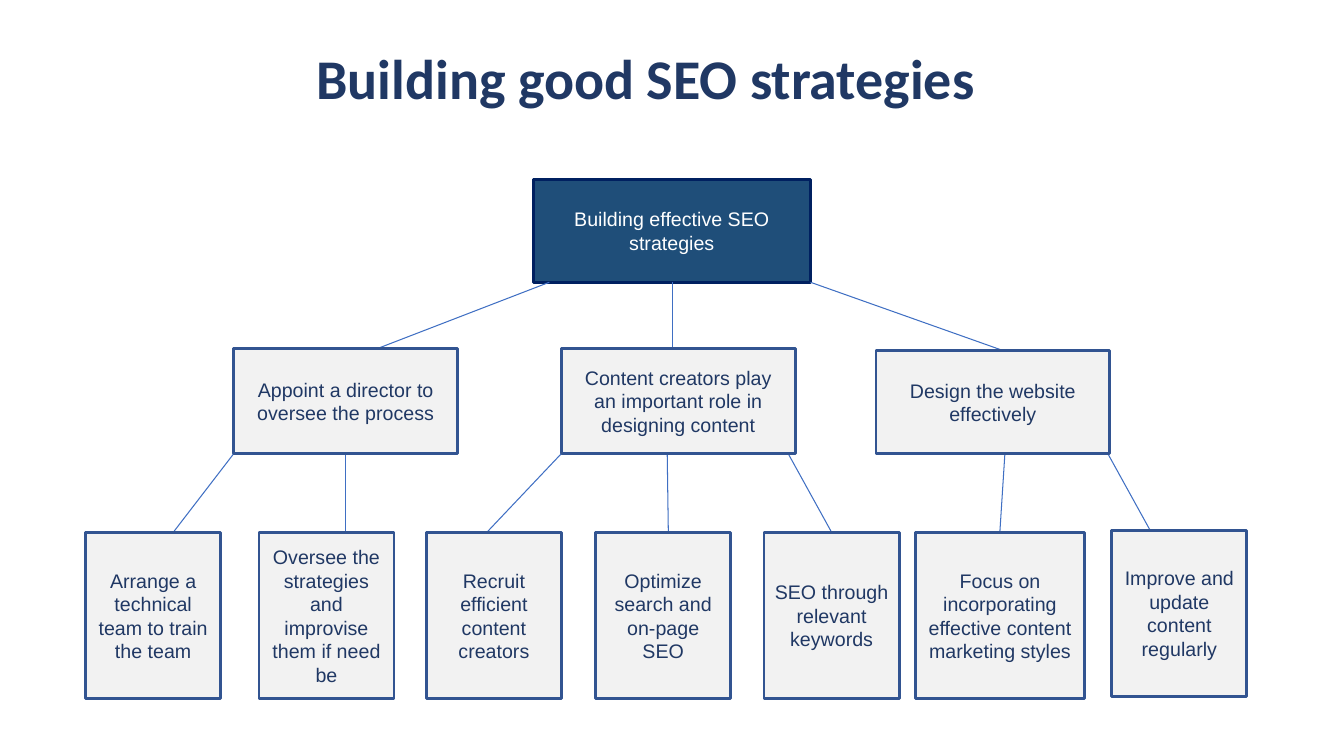
import pptx
import pptx.dml.color
import pptx.enum.shapes
import pptx.enum.text
import pptx.oxml.ns
import pptx.util
from dataclasses import dataclass
from lxml import etree

Pt = pptx.util.Pt
ALIGN = pptx.enum.text.PP_ALIGN
ANCHOR = pptx.enum.text.MSO_ANCHOR


@dataclass(frozen=True)
class Theme:
    navy: str = "203864"
    root_fill: str = "1F4E79"
    root_line: str = "002060"
    root_text: str = "FFFFFF"
    box_fill: str = "F2F2F2"
    box_line: str = "325491"
    link: str = "3F6FC3"
    title_font: str = "Calibri"
    body_font: str = "Arial"
    title_size: float = 40
    body_size: float = 14
    box_weight: float = 2
    link_weight: float = 0.75


def rgb(value):
    return pptx.dml.color.RGBColor.from_string(value)


class SlideBuilder:
    def __init__(self, slide, theme):
        self.s = slide
        self.theme = theme

    def label(self, sp, text, font, size, color, bold=False):
        tf = sp.text_frame
        tf.word_wrap = True
        tf.vertical_anchor = ANCHOR.MIDDLE
        tf.text = text
        p = tf.paragraphs[0]
        p.alignment = ALIGN.CENTER
        r = p.runs[0]
        r.font.name = font
        r.font.size = Pt(size)
        r.font.bold = bold
        r.font.color.rgb = rgb(color)
        return p

    def title(self, text, x, y, w, h):
        t = self.theme
        sp = self.s.shapes.add_textbox(Pt(x), Pt(y), Pt(w), Pt(h))
        p = self.label(sp, text, t.title_font, t.title_size, t.navy, True)
        p.line_spacing = 0.9

    def box(self, text, x, y, w, h, fill, line, color):
        t = self.theme
        kind = pptx.enum.shapes.MSO_SHAPE.RECTANGLE
        sp = self.s.shapes.add_shape(kind, Pt(x), Pt(y), Pt(w), Pt(h))
        sp.shadow.inherit = False
        sp.fill.solid()
        sp.fill.fore_color.rgb = rgb(fill)
        sp.line.color.rgb = rgb(line)
        sp.line.width = Pt(t.box_weight)
        self.label(sp, text, t.body_font, t.body_size, color)

    def root(self, text, x, y, w, h):
        t = self.theme
        self.box(text, x, y, w, h, t.root_fill, t.root_line, t.root_text)

    def node(self, text, x, y, w, h):
        t = self.theme
        self.box(text, x, y, w, h, t.box_fill, t.box_line, t.navy)

    def link(self, x1, y1, x2, y2):
        kind = pptx.enum.shapes.MSO_CONNECTOR.STRAIGHT
        cxn = self.s.shapes.add_connector(kind, Pt(x1), Pt(y1), Pt(x2), Pt(y2))
        cxn.line.color.rgb = rgb(self.theme.link)
        cxn.line.width = Pt(self.theme.link_weight)
        etree.SubElement(cxn._element.spPr, pptx.oxml.ns.qn("a:effectLst"))


ROOT_BOTTOM = 201.6
BRANCH_BOTTOM = 324
LEAF_TOP, LEAF_WIDTH, LEAF_HEIGHT = 380.2, 96.5, 118.8

BRANCHES = [
    ("Appoint a director to oversee the process", 167, 249.1, 160),
    ("Content creators play an important role in designing content",
     401, 249.1, 167),
    ("Design the website effectively", 625.7, 250.6, 167),
]
LEAVES = [
    ("Arrange a technical team to train the team", 61.2, LEAF_TOP, LEAF_WIDTH),
    ("Oversee the strategies and improvise them if need be",
     185, LEAF_TOP, LEAF_WIDTH),
    ("Recruit efficient content creators", 304.6, LEAF_TOP, LEAF_WIDTH),
    ("Optimize search and on-page SEO", 425.5, LEAF_TOP, LEAF_WIDTH),
    ("SEO through relevant keywords", 545.8, LEAF_TOP, LEAF_WIDTH),
    ("Focus on incorporating effective content marketing styles",
     653.8, LEAF_TOP, 121),
    ("Improve and update content regularly", 794.2, 378.7, LEAF_WIDTH),
]
BRANCH_LINKS = [(392.4, 269.3), (480.2, 480.2), (578.9, 717)]
LEAF_LINKS = [(167, 123.8), (247, 247), (401, 347.8), (476.6, 477.4),
              (563, 594), (717.8, 714.2), (791.3, 821.5)]

prs = pptx.Presentation()
prs.slide_width, prs.slide_height = Pt(960), Pt(540)
slide = SlideBuilder(prs.slides.add_slide(prs.slide_layouts[6]), Theme())

slide.title("Building good SEO strategies", 46.1, 21.6, 830.2, 73.4)
slide.root("Building effective SEO strategies",
           380.9, 128.2, 198, ROOT_BOTTOM - 128.2)

for nodes, links, start in ((BRANCHES, BRANCH_LINKS, ROOT_BOTTOM),
                            (LEAVES, LEAF_LINKS, BRANCH_BOTTOM)):
    for (text, x, top, width), (x1, x2) in zip(nodes, links):
        slide.link(x1, start, x2, top)

for text, x, top, width in BRANCHES:
    slide.node(text, x, top, width, BRANCH_BOTTOM - top)
for text, x, top, width in LEAVES:
    slide.node(text, x, top, width, LEAF_HEIGHT)

prs.save("out.pptx")
